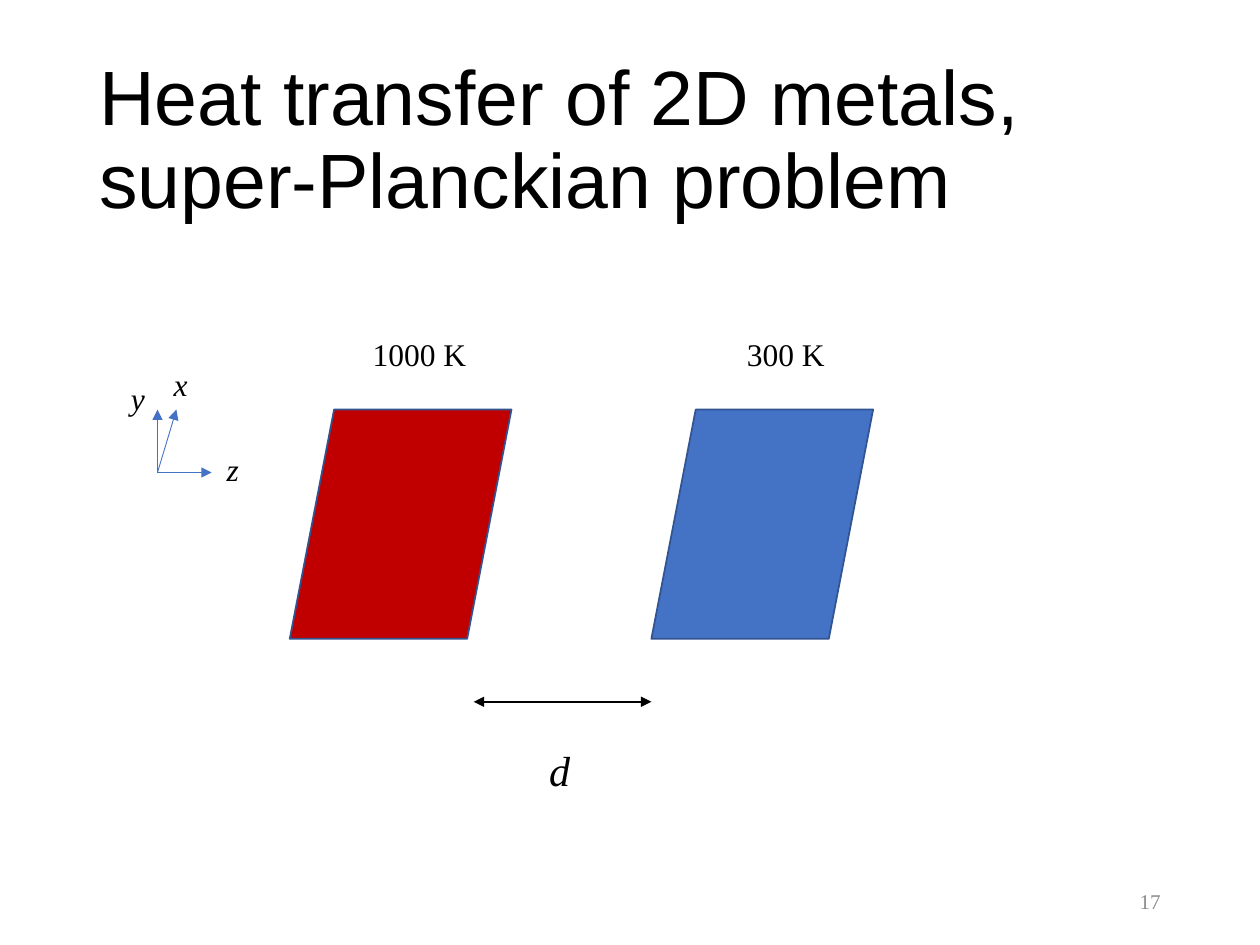
from dataclasses import dataclass

from lxml import etree
from pptx import Presentation
from pptx.dml.color import RGBColor
from pptx.enum.shapes import MSO_CONNECTOR as Connector, MSO_SHAPE as Shape
from pptx.enum.text import MSO_ANCHOR as Anchor, PP_ALIGN as Align
from pptx.oxml.ns import qn
from pptx.util import Inches, Pt

COLORS = {
    "text": "000000",
    "number": "8C8C8C",
    "hot": "C00000",
    "cold": "4472C4",
    "outline": "325491",
    "axis": "4472C4",
}


@dataclass
class Label:
    text: str
    left: float
    top: float
    width: float
    height: float = 0.4
    size: float = 18
    font: str = "Times New Roman"
    color: str = "text"
    italic: bool = False
    anchor: Anchor = Anchor.TOP
    align: Align = Align.LEFT
    line_spacing: float = 1.0


@dataclass
class Plate:
    left: float
    color: str


@dataclass
class Arrow:
    start: tuple[float, float]
    end: tuple[float, float]
    color: str
    width: float
    double: bool = False


def rgb(name: str) -> RGBColor:
    return RGBColor.from_string(COLORS[name])


def draw_label(slide, label: Label) -> None:
    box = slide.shapes.add_textbox(
        Inches(label.left), Inches(label.top), Inches(label.width), Inches(label.height)
    )
    frame = box.text_frame
    frame.word_wrap = True
    frame.vertical_anchor = label.anchor
    paragraph = frame.paragraphs[0]
    paragraph.text = label.text
    paragraph.alignment = label.align
    paragraph.line_spacing = label.line_spacing
    font = paragraph.font
    font.name = label.font
    font.size = Pt(label.size)
    font.italic = label.italic
    font.color.rgb = rgb(label.color)


def draw_plate(slide, plate: Plate) -> None:
    shape = slide.shapes.add_shape(
        Shape.FLOWCHART_DATA, Inches(plate.left), Inches(3.25), Inches(1.76), Inches(1.82)
    )
    shape.shadow.inherit = False
    shape.fill.solid()
    shape.fill.fore_color.rgb = rgb(plate.color)
    shape.line.color.rgb = rgb("outline")
    shape.line.width = Pt(1)


def draw_arrow(slide, arrow: Arrow) -> None:
    points = [Inches(value) for value in (*arrow.start, *arrow.end)]
    connector = slide.shapes.add_connector(Connector.STRAIGHT, *points)
    connector.line.color.rgb = rgb(arrow.color)
    connector.line.width = Pt(arrow.width)
    line = connector.line._get_or_add_ln()
    for end in ("a:headEnd", "a:tailEnd") if arrow.double else ("a:tailEnd",):
        etree.SubElement(line, qn(end), type="triangle")
    etree.SubElement(connector._element.spPr, qn("a:effectLst"))


ORIGIN = (1.25, 3.75)

LABELS = [
    # Title and slide number
    Label("Heat transfer of 2D metals, super-Planckian problem", 0.69, 0.4, 8.62, 1.45,
          size=44, font="Arial", anchor=Anchor.MIDDLE, line_spacing=0.9),
    Label("17", 7.06, 6.95, 2.25, size=12, color="number",
          anchor=Anchor.MIDDLE, align=Align.RIGHT),
    # Plate temperatures and separation
    Label("1000 K", 2.86, 2.61, 1.07),
    Label("300 K", 5.83, 2.61, 1.07),
    Label("d", 4.26, 5.86, 0.35, 0.5, size=24, italic=True),
    # Axis names
    Label("z", 1.7, 3.52, 0.26, italic=True),
    Label("x", 1.28, 2.85, 0.26, italic=True),
    Label("y", 0.94, 2.96, 0.26, italic=True),
]
PLATES = [Plate(2.3, "hot"), Plate(5.17, "cold")]
ARROWS = [
    Arrow((3.76, 5.57), (5.17, 5.57), "text", 1.25, double=True),
    *(Arrow(ORIGIN, tip, "axis", 0.5) for tip in ((1.25, 3.25), (1.4, 3.25), (1.68, 3.75))),
]


def main() -> None:
    presentation = Presentation()
    presentation.slide_width = Inches(10)
    presentation.slide_height = Inches(7.5)
    slide = presentation.slides.add_slide(presentation.slide_layouts[6])

    for plate in PLATES:
        draw_plate(slide, plate)
    for arrow in ARROWS:
        draw_arrow(slide, arrow)
    for label in LABELS:
        draw_label(slide, label)

    presentation.save("out.pptx")


if __name__ == "__main__":
    main()
